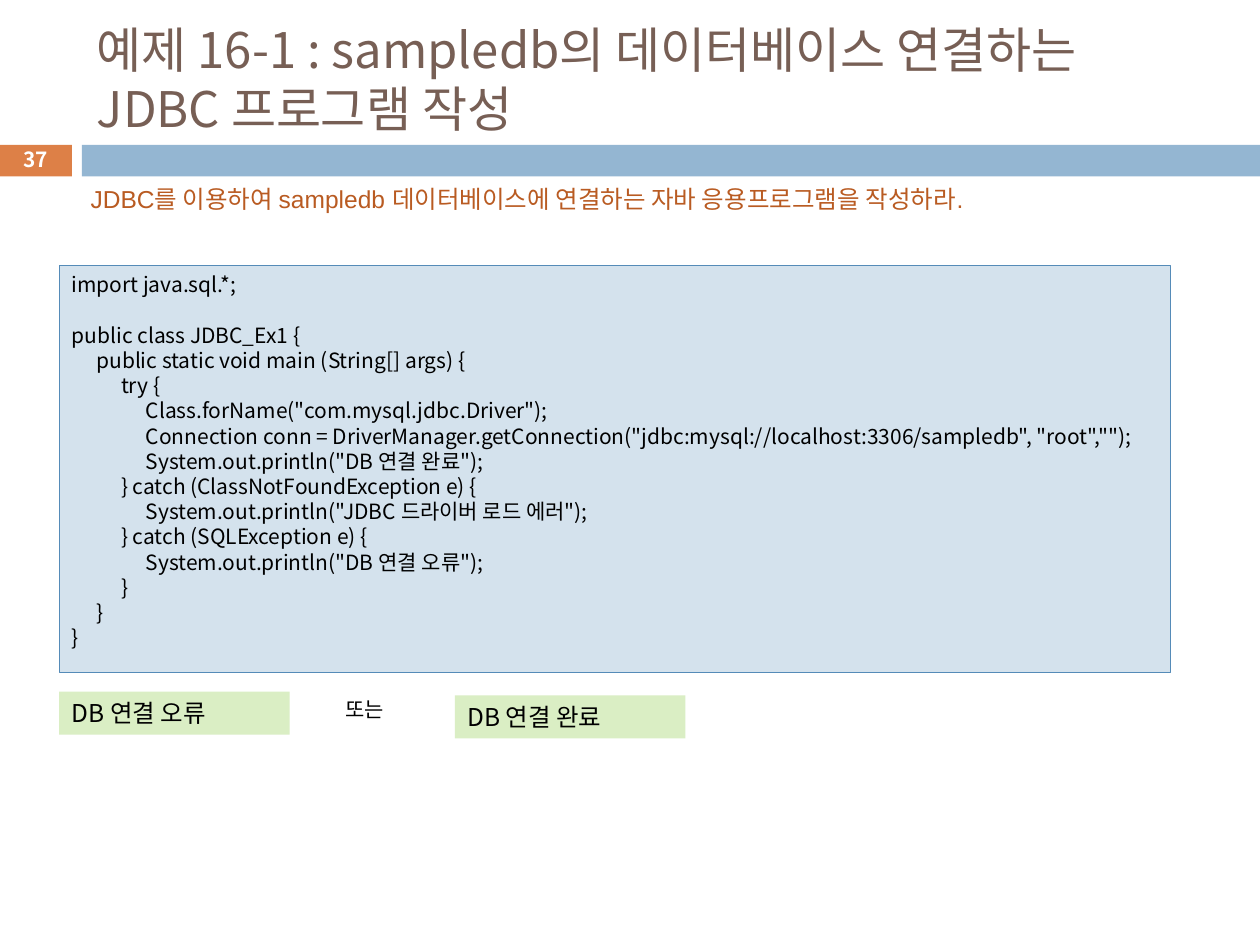
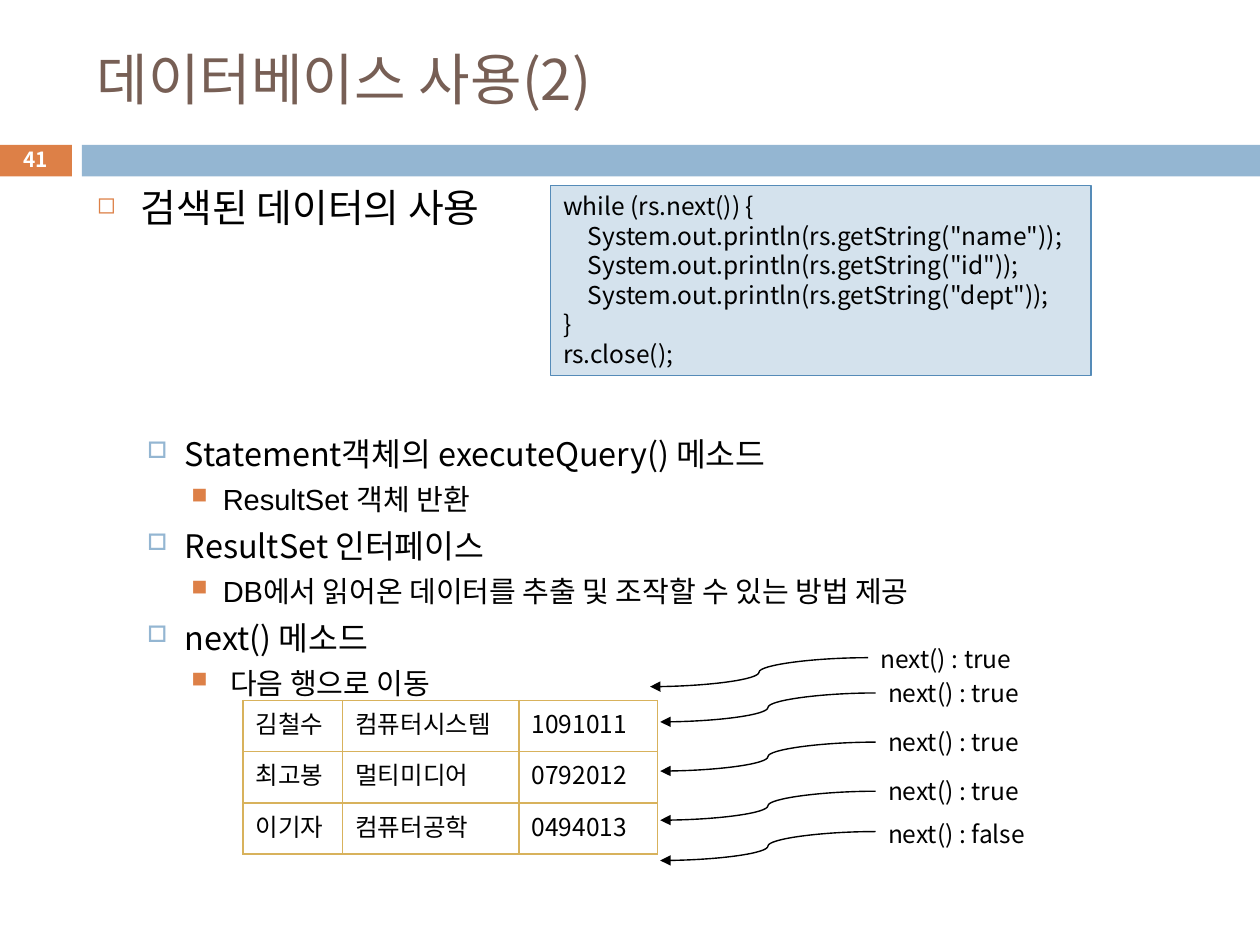
from lxml import etree
from pptx import Presentation
from pptx.dml.color import RGBColor
from pptx.enum.shapes import MSO_CONNECTOR, MSO_SHAPE
from pptx.enum.text import MSO_ANCHOR, PP_ALIGN
from pptx.oxml.ns import qn
from pptx.util import Inches, Pt

BLACK = RGBColor(0x00, 0x00, 0x00)
WHITE = RGBColor(0xFF, 0xFF, 0xFF)
BROWN = RGBColor(0x77, 0x5F, 0x55)
ORANGE = RGBColor(0xDD, 0x80, 0x47)
BLUE = RGBColor(0x94, 0xB6, 0xD2)
RUST = RGBColor(0xB9, 0x5B, 0x22)
CODE_FILL = RGBColor(0xD4, 0xE2, 0xED)
CODE_LINE = RGBColor(0x55, 0x8B, 0xB8)
GREEN = RGBColor(0xDA, 0xEE, 0xC4)
GOLD = RGBColor(0xD8, 0xB2, 0x5C)
KOREAN = "Noto Sans CJK KR"
TAB = 0.196


def write(p, text, size, color=BLACK, font=KOREAN, bold=False):
    """Put text in a paragraph, with code tab stops and lines 1.2 times the size."""
    p.line_spacing = Pt(round(size * 1.2, 1))
    if text.startswith("\t"):
        tabs = etree.SubElement(p._p.get_or_add_pPr(), qn("a:tabLst"))
        for i in range(1, 4):
            etree.SubElement(tabs, qn("a:tab"), pos=str(Inches(TAB * i)), algn="l")
    r = p.add_run()
    r.text = text
    for name, value in {"size": Pt(size), "bold": bold, "name": font}.items():
        setattr(r.font, name, value)
    r.font.color.rgb = color
    etree.SubElement(r._r.get_or_add_rPr(), qn("a:ea"), typeface=KOREAN)


def box(s, at, lines=(), size=14, fill=None, line=None, anchor=MSO_ANCHOR.TOP,
        align=PP_ALIGN.LEFT, wrap=True, **style):
    """Add a text box, or a rectangle when a fill is given."""
    at = [Inches(v) for v in at]
    if fill is None:
        sp = s.shapes.add_textbox(*at)
    else:
        sp = s.shapes.add_shape(MSO_SHAPE.RECTANGLE, *at)
        sp.shadow.inherit = False
        sp.fill.solid()
        sp.fill.fore_color.rgb = fill
        if line is None:
            sp.line.fill.background()
        else:
            sp.line.color.rgb = line
            sp.line.width = Pt(0.75)
    tf = sp.text_frame
    tf.word_wrap = wrap
    tf.vertical_anchor = anchor
    gap = 0
    for text in lines:
        if not text:
            gap += size * 1.2
            continue
        p = tf.paragraphs[0] if text == lines[0] else tf.add_paragraph()
        p.alignment = align
        if gap:
            p.space_before = Pt(gap)
            gap = 0
        write(p, text, size, **style)
    return sp


prs = Presentation()
prs.slide_width, prs.slide_height = Inches(10), Inches(7.5)

# Title, bands and number on every slide
slides = []
for title, size, number in [
    ("예제 16-1 : sampledb의 데이터베이스 연결하는 JDBC 프로그램 작성", 28, "37"),
    ("데이터베이스 사용(2)", 32, "41"),
]:
    s = prs.slides.add_slide(prs.slide_layouts[6])
    box(s, (-0.01, 1.15, 0.58, 0.25), fill=ORANGE)
    box(s, (0.65, 1.15, 9.35, 0.25), fill=BLUE)
    box(s, (0.67, 0.25, 8.92, 0.74), [title], size, anchor=MSO_ANCHOR.MIDDLE, color=BROWN)
    box(s, (-0.01, 1.13, 0.58, 0.27), [number], 11.9, anchor=MSO_ANCHOR.MIDDLE,
        align=PP_ALIGN.CENTER, color=WHITE, bold=True)
    slides.append(s)
example, usage = slides

# Slide 1: connection example
box(example, (0.62, 1.41, 8.91, 0.34),
    ["JDBC를 이용하여 sampledb 데이터베이스에 연결하는 자바 응용프로그램을 작성하라."],
    color=RUST, font="Arial")
CONNECT_CODE = """import java.sql.*;

public class JDBC_Ex1 {
\tpublic static void main (String[] args) {
\t\ttry {
\t\t\tClass.forName("com.mysql.jdbc.Driver");
\t\t\tConnection conn = DriverManager.getConnection("jdbc:mysql://localhost:3306/sampledb", "root","");
\t\t\tSystem.out.println("DB 연결 완료");
\t\t} catch (ClassNotFoundException e) {
\t\t\tSystem.out.println("JDBC 드라이버 로드 에러");
\t\t} catch (SQLException e) {
\t\t\tSystem.out.println("DB 연결 오류");
\t\t}
\t}
}"""
box(example, (0.47, 2.11, 8.82, 3.23), CONNECT_CODE.split("\n"), 12, CODE_FILL, CODE_LINE)
box(example, (2.64, 5.48, 0.54, 0.3), ["또는"], 12, wrap=False)
for x, y, result in [(0.47, 5.49, "DB 연결 오류"), (3.61, 5.52, "DB 연결 완료")]:
    box(example, (x, y, 1.83, 0.34), [result], fill=GREEN)

# Slide 2: bulleted outline
LEVELS = [
    # left, hanging, space before, size, bullet, colour, bullet %, font
    (0.35, 0.35, 0, 22.2, "◻", ORANGE, 60, KOREAN),
    (0.7, 0.3, 5.5, 18.5, "□", BLUE, 70, KOREAN),
    (1.0, 0.25, 5, 16.6, "■", ORANGE, 75, "Arial"),
]
OUTLINE = [
    # level, extra space before, extra text indent, text
    (0, 0, 0, "검색된 데이터의 사용"),
    (1, 110.8, 0, "Statement객체의 executeQuery() 메소드"),
    (2, 0, 0, "ResultSet 객체 반환"),
    (1, 0, 0, "ResultSet 인터페이스"),
    (2, 0, 0, "DB에서 읽어온 데이터를 추출 및 조작할 수 있는 방법 제공"),
    (1, 0, 0, "next() 메소드"),
    (2, 0, 0.06, "다음 행으로 이동"),
]
tf = box(usage, (0.67, 1.41, 9.13, 4.06)).text_frame
for i, (level, extra, shift, text) in enumerate(OUTLINE):
    left, hang, before, size, bullet, color, percent, font = LEVELS[level]
    p = tf.add_paragraph() if i else tf.paragraphs[0]
    p.level = level
    p.space_before = Pt(before + extra)
    pPr = p._p.get_or_add_pPr()
    pPr.set("marL", str(Inches(left + shift)))
    pPr.set("indent", str(-Inches(hang + shift)))
    clr = etree.SubElement(pPr, qn("a:buClr"))
    etree.SubElement(clr, qn("a:srgbClr"), val=str(color))
    etree.SubElement(pPr, qn("a:buSzPct"), val=str(percent * 1000))
    etree.SubElement(pPr, qn("a:buChar"), char=bullet)
    write(p, text, size, font=font)

LOOP_CODE = """while (rs.next()) {
\tSystem.out.println(rs.getString("name"));
\tSystem.out.println(rs.getString("id"));
\tSystem.out.println(rs.getString("dept"));
}
rs.close();"""
box(usage, (4.37, 1.47, 4.29, 1.51), LOOP_CODE.split("\n"), 14, CODE_FILL, CODE_LINE)

# Result rows
STUDENTS = [
    ("김철수", "컴퓨터시스템", "1091011"),
    ("최고봉", "멀티미디어", "0792012"),
    ("이기자", "컴퓨터공학", "0494013"),
]
frame = usage.shapes.add_table(3, 3, Inches(1.93), Inches(5.56), Inches(3.29), Inches(1.22))
table = frame.table
table.first_row = table.horz_banding = False
for column, width in zip(table.columns, (0.79, 1.4, 1.1)):
    column.width = Inches(width)
for row, student in zip(table.rows, STUDENTS):
    row.height = Inches(1.22 / 3)
    for cell, text in zip(row.cells, student):
        cell.vertical_anchor = MSO_ANCHOR.MIDDLE
        write(cell.text_frame.paragraphs[0], text, 14)
        tcPr = cell._tc.get_or_add_tcPr()
        for side in ("a:lnL", "a:lnR", "a:lnT", "a:lnB"):
            ln = etree.SubElement(tcPr, qn(side), w=str(Pt(1)))
            solid = etree.SubElement(ln, qn("a:solidFill"))
            etree.SubElement(solid, qn("a:srgbClr"), val=str(GOLD))
        cell.fill.background()

# Cursor moves: x and y of the arrow start, x of its head, label top, label
for x, y, head, top, label in [
    (6.89, 5.22, 5.16, 5.06, "next() : true"),
    (6.95, 5.5, 5.24, 5.33, "next() : true"),
    (6.95, 5.89, 5.24, 5.72, "next() : true"),
    (6.95, 6.28, 5.24, 6.11, "next() : true"),
    (6.95, 6.6, 5.24, 6.45, "next() : false"),
]:
    c = usage.shapes.add_connector(MSO_CONNECTOR.CURVE, Inches(x), Inches(y),
                                   Inches(head), Inches(y + 0.23))
    c.line.color.rgb = BLACK
    c.line.width = Pt(0.79)
    etree.SubElement(c.line._get_or_add_ln(), qn("a:tailEnd"), type="triangle")
    etree.SubElement(c._element.spPr, qn("a:effectLst"))
    box(usage, (x, top, 1.43, 0.34), [label])

prs.save("out.pptx")
